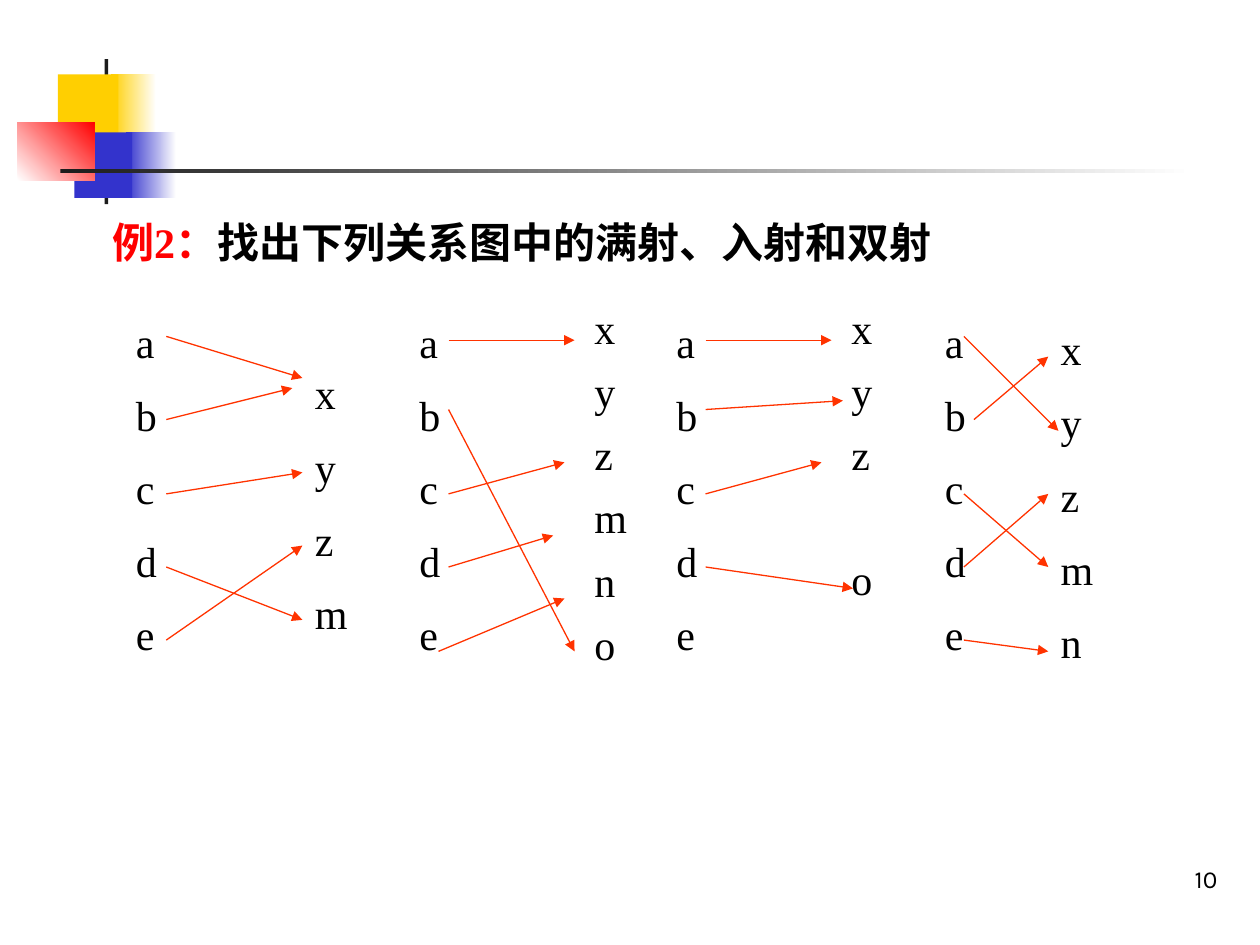
"""Build the slide on surjective, injective and bijective mappings."""
from lxml.etree import SubElement
from pptx import Presentation
from pptx.dml.color import RGBColor
from pptx.enum.shapes import MSO_CONNECTOR as CONN, MSO_SHAPE as SHAPE
from pptx.enum.text import MSO_ANCHOR as ANCHOR, MSO_AUTO_SIZE as AUTO, PP_ALIGN as ALIGN
from pptx.oxml.ns import qn
from pptx.util import Inches, Pt

THEME = {
    "text": "000000", "accent": "FF0000", "arrow": "FF3300",
    "dark": "1C1C1C", "yellow": "FFCF01", "blue": "3333CC", "white": "FFFFFF",
    "font": "Times New Roman", "number_font": "Karla",
    "size": 24, "number_size": 14, "arrow_width": 0.75, "gap": 13,
}

TITLE = [("例2：", "accent"), ("找出下列关系图中的满射、入射和双射", "text")]
PAGE_NUMBER = "10"

DECORATION = [
    ((0.88, 0.59, 0.36, 0.52), ("yellow", "white"), 0),
    ((1, 1.05, 0.4, 0.52), ("blue", "white"), 0),
    ((0.83, 0.47, 0.03, 1.15), ("dark",), 0),
    ((0.46, 0.59, 0.48, 0.52), ("yellow",), 0),
    ((0.59, 1.05, 0.46, 0.52), ("blue",), 0),
    ((0.14, 0.97, 0.61, 0.46), ("white", "accent"), 45),
    ((0.48, 1.34, 9, 0.03), ("dark", "white"), 0),
]

DOMAIN = "abcde"
DOMAIN_TOP = 2.46
DIAGRAMS = [
    {"domain_x": 0.98, "range_at": (2.4, 2.87), "range": "xyzm", "spacing": 1,
     "arrows": [(1.32, 2.67, 2.4, 3), (1.32, 3.33, 2.32, 3.08), (1.32, 3.92, 2.4, 3.75),
                (1.32, 4.5, 2.4, 4.92), (1.32, 5.08, 2.4, 4.33)]},
    {"domain_x": 3.23, "range_at": (4.62, 2.43), "range": "xyzmno", "spacing": 0.8,
     "arrows": [(3.56, 2.7, 4.56, 2.7), (3.56, 3.25, 4.56, 5.17), (3.56, 3.92, 4.48, 3.67),
                (3.56, 4.5, 4.39, 4.25), (3.48, 5.17, 4.48, 4.75)]},
    {"domain_x": 5.27, "range_at": (6.66, 2.43), "range": "xyz_o", "spacing": 0.8,
     "arrows": [(5.6, 2.7, 6.6, 2.7), (5.6, 3.25, 6.69, 3.18), (5.6, 3.92, 6.52, 3.67),
                (5.6, 4.5, 6.77, 4.67)]},
    {"domain_x": 7.4, "range_at": (8.32, 2.52), "range": "xyzmn", "spacing": 1,
     "arrows": [(7.65, 2.67, 8.4, 3.42), (7.73, 3.33, 8.32, 2.83), (7.65, 3.92, 8.32, 4.5),
                (7.65, 4.5, 8.32, 3.92), (7.65, 5.08, 8.32, 5.17)]},
]


def color(name):
    return RGBColor.from_string(THEME[name])


def inches(values):
    return [Inches(v) for v in values]


def set_font(font, name="font", size="size"):
    font.name = THEME[name]
    font.size = Pt(THEME[size])
    font.color.rgb = color("text")


def add_block(slide, box, colors, angle):
    s = slide.shapes.add_shape(SHAPE.RECTANGLE, *inches(box))
    s.shadow.inherit = False
    s.line.fill.background()
    if len(colors) == 1:
        s.fill.solid()
        s.fill.fore_color.rgb = color(colors[0])
        return
    s.fill.gradient()
    s.fill.gradient_angle = angle
    for stop, name in zip(s.fill.gradient_stops, colors):
        stop.color.rgb = color(name)


def fill_title(s):
    s.left, s.top, s.width, s.height = inches((0.79, 1.55, 8.66, 0.62))
    tf = s.text_frame
    tf.auto_size = AUTO.NONE
    tf.vertical_anchor = ANCHOR.TOP
    p = tf.paragraphs[0]
    p.alignment = ALIGN.LEFT
    p.line_spacing = 1.3
    set_font(p.font)
    p.font.bold = True
    for text, name in TITLE:
        r = p.add_run()
        r.text = text
        r.font.color.rgb = color(name)


def add_letters(slide, left, top, letters, spacing=1):
    """Stack letters in a column, where an underscore leaves a row free."""
    row_height = THEME["size"] * 1.15 * spacing + THEME["gap"]
    height = len(letters) * row_height / 72 + 0.1
    tf = slide.shapes.add_textbox(*inches((left, top, 0.5, height))).text_frame
    tf.word_wrap = True
    last = 0
    for row, letter in enumerate(letters):
        if letter == "_":
            continue
        p = tf.add_paragraph() if row else tf.paragraphs[0]
        p.text = letter
        p.line_spacing = spacing
        if row:
            p.space_before = Pt(THEME["gap"] + (row - last - 1) * row_height)
        set_font(p.font)
        last = row


def add_arrow(slide, ends):
    s = slide.shapes.add_connector(CONN.STRAIGHT, *inches(ends))
    s.line.color.rgb = color("arrow")
    s.line.width = Pt(THEME["arrow_width"])
    SubElement(s.line._get_or_add_ln(), qn("a:tailEnd"), type="triangle")
    SubElement(s._element.spPr, qn("a:effectLst"))


def add_number(slide):
    tf = slide.shapes.add_textbox(*inches((7.68, 6.64, 2.08, 0.5))).text_frame
    tf.word_wrap = True
    tf.vertical_anchor = ANCHOR.BOTTOM
    p = tf.paragraphs[0]
    p.text = PAGE_NUMBER
    p.alignment = ALIGN.RIGHT
    set_font(p.font, "number_font", "number_size")


def main():
    prs = Presentation()
    prs.slide_width, prs.slide_height = Inches(10), Inches(7.5)
    slide = prs.slides.add_slide(prs.slide_layouts[5])
    for block in DECORATION:
        add_block(slide, *block)
    fill_title(slide.shapes.title)
    for d in DIAGRAMS:
        add_letters(slide, d["domain_x"], DOMAIN_TOP, DOMAIN)
        add_letters(slide, *d["range_at"], d["range"], d["spacing"])
        for ends in d["arrows"]:
            add_arrow(slide, ends)
    add_number(slide)
    prs.save("out.pptx")


if __name__ == "__main__":
    main()
